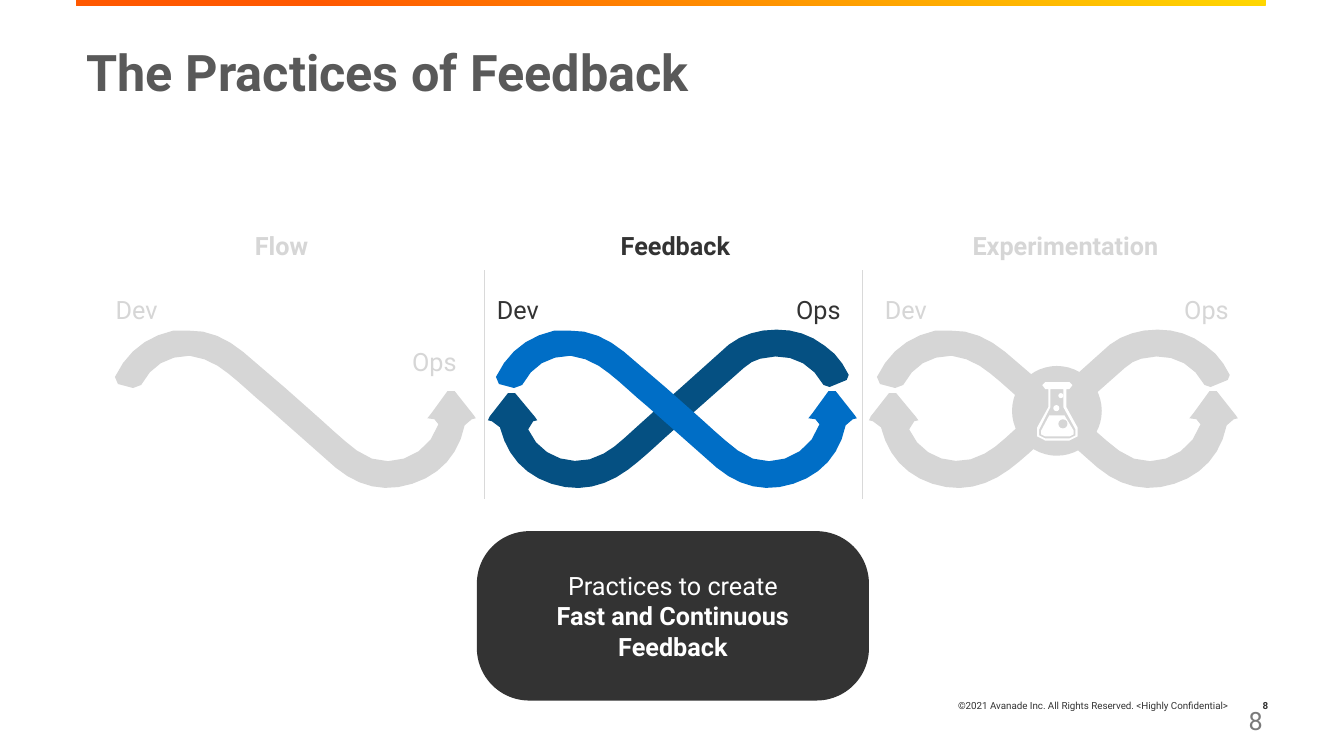
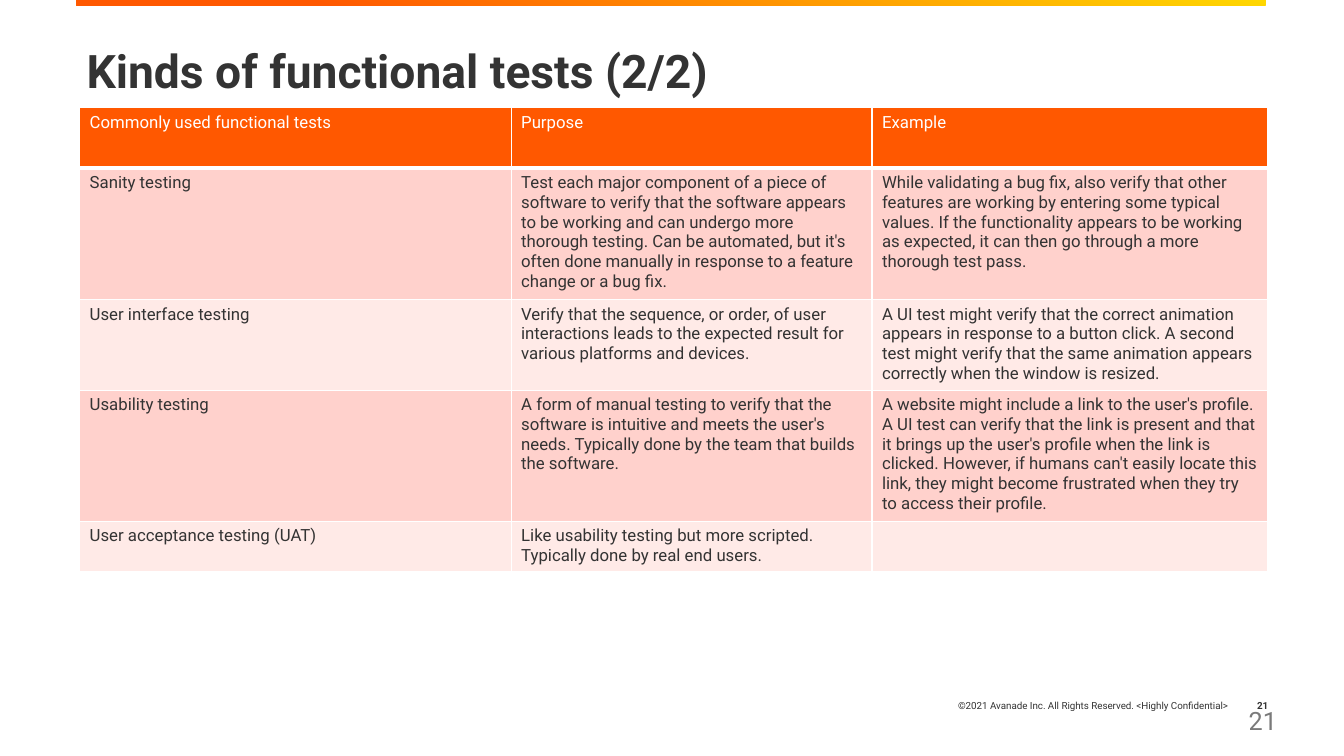
import math
from dataclasses import dataclass

import lxml.etree
import pptx
import pptx.dml.color
import pptx.enum.shapes
import pptx.enum.text
import pptx.oxml.ns
import pptx.util

Pt = pptx.util.Pt
RGBColor = pptx.dml.color.RGBColor
Align = pptx.enum.text.PP_ALIGN
Anchor = pptx.enum.text.MSO_ANCHOR
Shape = pptx.enum.shapes.MSO_SHAPE

WHITE = RGBColor(0xFF, 0xFF, 0xFF)
DARK = RGBColor(0x33, 0x33, 0x33)
TITLE_GREY = RGBColor(0x59, 0x59, 0x59)
NUMBER_GREY = RGBColor(0x7A, 0x7A, 0x7A)
FADED = RGBColor(0xD6, 0xD6, 0xD6)
DIVIDER = RGBColor(0xD9, 0xD9, 0xD9)
NAVY = RGBColor(0x05, 0x50, 0x82)
BLUE = RGBColor(0x00, 0x6E, 0xC6)
ORANGE = RGBColor(0xFF, 0x58, 0x00)
YELLOW = RGBColor(0xFF, 0xD7, 0x00)
ROW_FILLS = (RGBColor(0xFF, 0xD1, 0xCC), RGBColor(0xFF, 0xEA, 0xE7))

FONT = "Roboto"
COPYRIGHT = "©2021 Avanade Inc. All Rights Reserved. <Highly Confidential>"
OUTLINE_UNIT = 0.72
CURVE_STEP = 15

FORWARD_RIBBON = """
M152,76 C136,63,122,48,104,36 C96,31,86,27,76,26 C54,26,38,36,28,55
C26,59,24,59,20,58 L5,54 C0,53,0,53,2,47 C14,22,33,7,60,1
C65,1,69,0,74,1 C95,0,113,9,129,22 L171,58 L197,81
C212,94,226,108,242,120 C270,142,312,128,323,94 C324,90,324,89,319,89
L312,88 L316,83 L332,61 C334,59,336,58,339,61 L358,85 L360,88 L356,89
C352,88,350,91,349,95 C343,124,325,144,297,153
C269,162,244,156,221,137 L178,99"""
BACK_RIBBON = """
M186,101 C170,115,156,129,140,141 C117,158,92,164,64,155 C37,146,20,127,13,99
C11,93,11,93,5,93 L1,92 L3,88 L21,65 C25,61,25,61,28,65 L48,89 L50,92 L46,93
C38,93,38,93,41,101 C53,130,89,141,116,125 C127,119,136,110,146,101
L166,83 L192,60 L240,17 C250,9,262,5,274,3
C297,0,317,4,335,18 C346,25,353,35,359,47 C361,50,360,51,357,52
L340,59 C337,60,336,59,334,57 C321,33,297,24,271,31
C265,32,260,36,255,40 L212,78"""
FLASK_GLASS = """
M42,45 L31,25 L31,7 L34,7 L37,3 L34,0 L10,0 L7,3 L10,7 L13,7 L13,25
L2,45 L2,54 L10,58 L34,58 L42,54
M40,53 L34,56 L10,56 L4,53 L4,47 L15,25 L15,7 L28,7 L28,25 L40,47"""
FLASK_LIQUID = "M29,33 L14,33 L6,48 L6,52 L10,54 L34,54 L38,52 L38,48"


@dataclass(frozen=True)
class Box:
    left: float
    top: float
    width: float
    height: float

    def lengths(self) -> tuple:
        return Pt(self.left), Pt(self.top), Pt(self.width), Pt(self.height)


@dataclass(frozen=True)
class Style:
    size: float
    color: RGBColor
    bold: bool = False
    align: Align = Align.LEFT
    spacing: float = 1.0


@dataclass(frozen=True)
class Stage:
    heading: str
    heading_box: Box
    dev_left: float
    ops_left: float
    ops_top: float
    text_color: RGBColor
    forward_color: RGBColor
    back_color: RGBColor | None


STAGES = (
    Stage("Flow", Box(175, 161.3, 54.7, 28.8), 75.6, 287.3, 244.1, FADED, FADED, None),
    Stage("Feedback", Box(436.3, 161.3, 94.3, 28.8), 347.8, 561.6, 206.6, DARK, BLUE, NAVY),
    Stage("Experimentation", Box(687.6, 161.3, 156.2, 28.8), 625, 838.8, 206.6, FADED, FADED, FADED),
)
RIBBON_LEFT, RIBBON_TOP, STAGE_PITCH = 80.64, 235.44, 272.16
BACK_SHIFT_LEFT, BACK_SHIFT_TOP = -5.04, -1.44
FLASK_LEFT, FLASK_TOP = 739.44, 272.88

TESTS = (
    ("Commonly used functional tests", "Purpose", "Example"),
    ("Sanity testing",
     "Test each major component of a piece of software to verify that the software appears to be working "
     "and can undergo more thorough testing. Can be automated, but it's often done manually in response "
     "to a feature change or a bug fix.",
     "While validating a bug fix, also verify that other features are working by entering some typical "
     "values. If the functionality appears to be working as expected, it can then go through a more "
     "thorough test pass."),
    ("User interface testing",
     "Verify that the sequence, or order, of user interactions leads to the expected result for various "
     "platforms and devices.",
     "A UI test might verify that the correct animation appears in response to a button click. A second "
     "test might verify that the same animation appears correctly when the window is resized."),
    ("Usability testing",
     "A form of manual testing to verify that the software is intuitive and meets the user's needs. "
     "Typically done by the team that builds the software.",
     "A website might include a link to the user's profile. A UI test can verify that the link is present "
     "and that it brings up the user's profile when the link is clicked. However, if humans can't easily "
     "locate this link, they might become frustrated when they try to access their profile."),
    ("User acceptance testing (UAT)",
     "Like usability testing but more scripted. Typically done by real end users.", ""),
)
COLUMN_WIDTHS = (308.2, 257.8, 282.9)
ROW_HEIGHTS = (43.2, 91, 63, 91, 34.5)


def style_paragraph(para, style: Style) -> None:
    para.alignment = style.align
    para.line_spacing = style.spacing
    para.font.name = FONT
    para.font.size = Pt(style.size)
    para.font.bold = style.bold
    para.font.color.rgb = style.color


def add_text(page, box: Box, text: str, style: Style, anchor: Anchor = Anchor.TOP, wrap: bool = True) -> None:
    frame = page.shapes.add_textbox(*box.lengths()).text_frame
    frame.word_wrap = wrap
    frame.vertical_anchor = anchor
    if not wrap:
        frame.auto_size = pptx.enum.text.MSO_AUTO_SIZE.SHAPE_TO_FIT_TEXT
    para = frame.paragraphs[0]
    para.text = text
    style_paragraph(para, style)


def paint(shape, color: RGBColor) -> None:
    shape.shadow.inherit = False
    shape.fill.solid()
    shape.fill.fore_color.rgb = color
    shape.line.fill.background()


def add_filled(page, kind: Shape, box: Box, color: RGBColor):
    shape = page.shapes.add_shape(kind, *box.lengths())
    paint(shape, color)
    return shape


def curve_points(start: tuple, values: list) -> list:
    knots = [start, *zip(values[::2], values[1::2])]
    steps = math.ceil(math.dist(knots[0], knots[-1]) / CURVE_STEP)
    points = []
    for step in range(1, steps + 1):
        t = step / steps
        weights = ((1 - t) ** 3, 3 * t * (1 - t) ** 2, 3 * t * t * (1 - t), t ** 3)
        points.append(tuple(sum(w * knot[axis] for w, knot in zip(weights, knots)) for axis in (0, 1)))
    return points


def trace_contours(outline: str) -> list:
    contours = []
    for token in outline.split():
        values = [float(value) for value in token[1:].split(",")]
        if token[0] == "M":
            contours.append([tuple(values)])
        elif token[0] == "L":
            contours[-1].append(tuple(values))
        else:
            contours[-1].extend(curve_points(contours[-1][-1], values))
    return contours


def add_outline(page, outline: str, left: float, top: float, color: RGBColor) -> None:
    contours = [
        [(Pt(left + x * OUTLINE_UNIT), Pt(top + y * OUTLINE_UNIT)) for x, y in contour]
        for contour in trace_contours(outline)
    ]
    builder = page.shapes.build_freeform(*contours[0][0], scale=1.0)
    builder.add_line_segments(contours[0][1:], close=True)
    for contour in contours[1:]:
        builder.move_to(*contour[0])
        builder.add_line_segments(contour[1:], close=True)
    paint(builder.convert_to_shape(), color)


def add_divider(page, left: float) -> None:
    line = page.shapes.add_connector(
        pptx.enum.shapes.MSO_CONNECTOR.STRAIGHT, Pt(left), Pt(193), Pt(left), Pt(356.4))
    line.line.color.rgb = DIVIDER
    line.line.width = Pt(0.5)
    lxml.etree.SubElement(line._element.spPr, pptx.oxml.ns.qn("a:effectLst"))


def add_page(deck, number: int, title: str, title_style: Style):
    page = deck.slides.add_slide(deck.slide_layouts[6])
    band = add_filled(page, Shape.RECTANGLE, Box(54.7, 0, 849.6, 3.9), ORANGE)
    band.fill.gradient()
    band.fill.gradient_angle = 250
    for stop, color, position in zip(band.fill.gradient_stops, (YELLOW, ORANGE), (0, 0.8)):
        stop.color.rgb = color
        stop.position = position
    add_text(page, Box(560.2, 489.6, 324, 28.8), COPYRIGHT, Style(7, DARK, align=Align.RIGHT), Anchor.MIDDLE)
    add_text(page, Box(878.4, 489.6, 34.6, 28.8), str(number), Style(7, DARK, True, Align.RIGHT), Anchor.MIDDLE)
    add_text(page, Box(884.9, 500.4, 38.9, 28.8), str(number), Style(18, NUMBER_GREY))
    add_text(page, Box(54.7, 31, 848.9, 78.5), title, title_style)
    return page


def add_callout(page) -> None:
    callout = add_filled(page, Shape.ROUNDED_RECTANGLE, Box(340.6, 379.4, 280.1, 121), DARK)
    callout.adjustments[0] = 0.31
    frame = callout.text_frame
    frame.word_wrap = True
    frame.vertical_anchor = Anchor.MIDDLE
    frame.margin_left = frame.margin_right = Pt(14)
    para = frame.paragraphs[0]
    style_paragraph(para, Style(18, WHITE, align=Align.CENTER))
    para.add_run().text = "Practices to create"
    para.add_line_break()
    span = para.add_run()
    span.text = "Fast and Continuous Feedback"
    span.font.bold = True


def add_stage(page, index: int, stage: Stage) -> None:
    left = RIBBON_LEFT + index * STAGE_PITCH
    if stage.back_color is not None:
        add_outline(page, BACK_RIBBON, left + BACK_SHIFT_LEFT, RIBBON_TOP + BACK_SHIFT_TOP, stage.back_color)
    add_outline(page, FORWARD_RIBBON, left, RIBBON_TOP, stage.forward_color)
    label = Style(18, stage.text_color)
    add_text(page, Box(stage.dev_left, 206.6, 45.4, 28.8), "Dev", label, wrap=False)
    add_text(page, Box(stage.ops_left, stage.ops_top, 46.8, 28.8), "Ops", label, wrap=False)
    add_text(page, stage.heading_box, stage.heading, Style(18, stage.text_color, True), wrap=False)


def add_flask(page) -> None:
    add_filled(page, Shape.OVAL, Box(722.9, 261.4, 64.1, 64.1), FADED)
    add_outline(page, FLASK_GLASS, FLASK_LEFT, FLASK_TOP, WHITE)
    add_outline(page, FLASK_LIQUID, FLASK_LEFT, FLASK_TOP, WHITE)
    bubbles = (
        (Box(752.4, 289.4, 4.3, 4.3), WHITE),
        (Box(756, 280.8, 3.6, 3.6), WHITE),
        (Box(756, 299.5, 6.5, 6.5), FADED),
    )
    for box, color in bubbles:
        add_filled(page, Shape.OVAL, box, color)


def add_borders(cell, bottom: float) -> None:
    properties = cell._tc.get_or_add_tcPr()
    for side, width in (("L", 1), ("R", 1), ("T", 1), ("B", bottom)):
        line = lxml.etree.SubElement(properties, pptx.oxml.ns.qn(f"a:ln{side}"), w=str(Pt(width)))
        fill = lxml.etree.SubElement(line, pptx.oxml.ns.qn("a:solidFill"))
        lxml.etree.SubElement(fill, pptx.oxml.ns.qn("a:srgbClr"), val=str(WHITE))


def add_tests_table(page) -> None:
    box = Box(56.9, 77, sum(COLUMN_WIDTHS), sum(ROW_HEIGHTS))
    table = page.shapes.add_table(len(TESTS), len(COLUMN_WIDTHS), *box.lengths()).table
    table.first_row = table.horz_banding = False
    for column, width in zip(table.columns, COLUMN_WIDTHS):
        column.width = Pt(width)
    for index, (row, height, texts) in enumerate(zip(table.rows, ROW_HEIGHTS, TESTS)):
        row.height = Pt(height)
        header = index == 0
        for cell, text in zip(row.cells, texts):
            add_borders(cell, 3 if header else 1)
            cell.fill.solid()
            cell.fill.fore_color.rgb = ORANGE if header else ROW_FILLS[(index - 1) % 2]
            cell.text = text
            style_paragraph(cell.text_frame.paragraphs[0], Style(12, WHITE if header else DARK))


def main() -> None:
    deck = pptx.Presentation()
    deck.slide_width, deck.slide_height = Pt(960), Pt(540)

    feedback = add_page(deck, 8, "The Practices of Feedback", Style(36, TITLE_GREY, True, spacing=0.9))
    add_callout(feedback)
    for index, stage in enumerate(STAGES):
        add_stage(feedback, index, stage)
    for left in (346.3, 616.3):
        add_divider(feedback, left)
    add_flask(feedback)

    tests = add_page(deck, 21, "Kinds of functional tests (2/2)", Style(33, DARK, True, spacing=0.9))
    add_tests_table(tests)

    deck.save("out.pptx")


if __name__ == "__main__":
    main()
